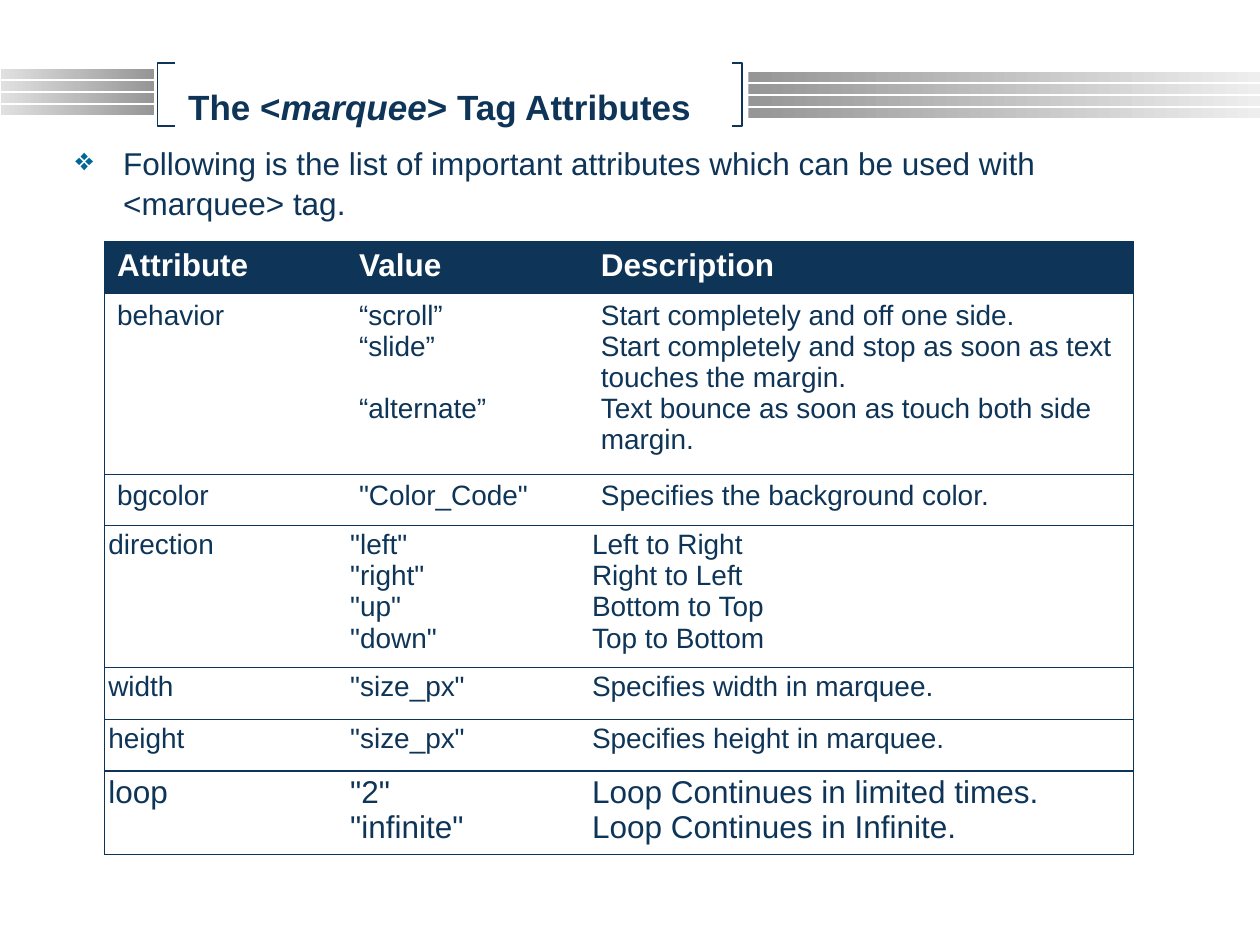
from dataclasses import dataclass

from lxml import etree
from pptx import Presentation, util as u
from pptx.dml.color import RGBColor
from pptx.enum import shapes, text
from pptx.oxml.ns import qn


@dataclass(frozen=True)
class Theme:
    font: str = "Arial"
    navy: str = "0E3558"
    border: str = "0C3458"
    bullet: str = "006699"
    white: str = "FFFFFF"
    title: float = 20
    large: float = 18
    small: float = 16
    hairline: float = 0.75


@dataclass(frozen=True)
class Stripes:
    left: float
    top: float
    width: float
    start: str
    end: str


@dataclass(frozen=True)
class Row:
    """One attribute; a newline starts a paragraph, a vertical tab a line."""
    cells: tuple[str, str, str]
    size: float
    inset: float | None = 0.03
    header: bool = False


T = Theme()
GRID_COLS, GRID_ROWS = 10, 7.5
prs = Presentation()
prs.slide_width, prs.slide_height = u.Inches(10), u.Inches(7.5)

STRIPES = (
    Stripes(0.01, 0.55, 1.21, "E0E0E0", "969696"),
    Stripes(5.94, 0.57, 4.06, "969696", "EEEEEE"),
)
STRIPE_COUNT, STRIPE_PITCH, STRIPE_HEIGHT = 4, 0.095, 0.08
# Each bracket: x of the open ends, x of the upright
BRACKETS = ((1.39, 1.25), (5.81, 5.89))
BRACKET_TOP, BRACKET_BOTTOM = 0.5, 1

TABLE_COLS = (1.92, 1.92, 4.33)
ROW_HEIGHT = 0.41
ROWS = (
    Row(("Attribute", "Value", "Description"), T.large, None, True),
    Row(("behavior", "“scroll”\n“slide”\n“alternate”",
         "Start completely and off one side.\n"
         "Start completely and stop as soon as text touches the margin.\n"
         "Text bounce as soon as touch both side margin."), T.small, None),
    Row(("bgcolor", '"Color_Code"', "Specifies the background color."), T.small, None),
    Row(("direction", '"left"\v"right"\v"up"\v"down"',
         "Left to Right\vRight to Left\vBottom to Top\vTop to Bottom"), T.small),
    Row(("width", '"size_px"', "Specifies width in marquee."), T.small),
    Row(("height", '"size_px"', "Specifies height in marquee."), T.small),
    Row(("loop", '"2"\v"infinite"',
         "Loop Continues in limited times.\vLoop Continues in Infinite."), T.large),
)
NO_STYLE = "{2D5ABB26-0587-4C30-8999-92F81FD0307C}"


def col(n: float) -> int:
    return round(prs.slide_width * n / GRID_COLS)


def row(n: float) -> int:
    return round(prs.slide_height * n / GRID_ROWS)


def box(left: float, top: float, width: float, height: float) -> tuple[int, ...]:
    return col(left), row(top), col(width), row(height)


def rgb(value: str) -> RGBColor:
    return RGBColor.from_string(value)


def set_font(r, size: float, color: str = T.navy, **extra) -> None:
    for name, value in {"name": T.font, "size": u.Pt(size), **extra}.items():
        setattr(r.font, name, value)
    r.font.color.rgb = rgb(color)


def draw_stripes(s, stripes: Stripes) -> None:
    for i in range(STRIPE_COUNT):
        top = stripes.top + i * STRIPE_PITCH
        sp = s.shapes.add_shape(shapes.MSO_SHAPE.RECTANGLE,
                                *box(stripes.left, top, stripes.width, STRIPE_HEIGHT))
        sp.shadow.inherit = False
        sp.line.fill.background()
        sp.fill.gradient()
        sp.fill.gradient_angle = 0
        for stop, color in zip(sp.fill.gradient_stops, (stripes.start, stripes.end)):
            stop.color.rgb = rgb(color)


def draw_bracket(s, tip: float, upright: float) -> None:
    top, bottom = row(BRACKET_TOP), row(BRACKET_BOTTOM)
    path = s.shapes.build_freeform(col(tip), top)
    path.add_line_segments(
        [(col(upright), top), (col(upright), bottom), (col(tip), bottom)], close=False)
    sp = path.convert_to_shape()
    sp.shadow.inherit = False
    sp.fill.background()
    sp.line.color.rgb = rgb(T.navy)
    sp.line.width = u.Pt(T.hairline)


def draw_title(s) -> None:
    tf = s.shapes.add_textbox(*box(1.31, 0.5, 4.5, 0.53)).text_frame
    for name, value in {"word_wrap": True, "margin_right": col(0.24),
                        "margin_bottom": row(0.02),
                        "vertical_anchor": text.MSO_ANCHOR.BOTTOM}.items():
        setattr(tf, name, value)
    p = tf.paragraphs[0]
    p.alignment = text.PP_ALIGN.CENTER
    for words, italic in (("The <", False), ("marquee", True), ("> Tag Attributes", False)):
        r = p.add_run()
        r.text = words
        set_font(r, T.title, bold=True, italic=italic)


def draw_intro(s) -> None:
    tf = s.shapes.add_textbox(*box(0.5, 1.08, 9, 0.75)).text_frame
    tf.word_wrap = True
    p = tf.paragraphs[0]
    p.line_spacing = 1.05
    r = p.add_run()
    r.text = ("Following is the list of important attributes "
              "which can be used with <marquee> tag.")
    set_font(r, T.large)
    props = p._p.get_or_add_pPr()
    props.set("marL", str(col(0.38)))
    props.set("indent", str(-col(0.38)))
    color = etree.SubElement(props, qn("a:buClr"))
    etree.SubElement(color, qn("a:srgbClr"), val=T.bullet)
    etree.SubElement(props, qn("a:buChar"), char="❖")


def set_borders(cell, sides: list[str]) -> None:
    """Rule the given sides; must run before the cell gets its fill."""
    props = cell._tc.get_or_add_tcPr()
    for side in sides:
        line = etree.SubElement(props, qn(f"a:ln{side}"), w=str(u.Pt(T.hairline)))
        fill = etree.SubElement(line, qn("a:solidFill"))
        etree.SubElement(fill, qn("a:srgbClr"), val=T.border)


def fill_cell(cell, words: str, spec_row: Row) -> None:
    if spec_row.inset is not None:
        for side in ("left", "right", "top", "bottom"):
            setattr(cell, f"margin_{side}", u.Inches(spec_row.inset))
    if spec_row.header:
        cell.fill.solid()
        cell.fill.fore_color.rgb = rgb(T.navy)
    else:
        cell.fill.background()
    cell.text_frame.text = words
    for p in cell.text_frame.paragraphs:
        for r in p.runs:
            set_font(r, spec_row.size, T.white if spec_row.header else T.navy,
                     bold=spec_row.header)


def draw_table(s) -> None:
    frame = s.shapes.add_table(len(ROWS), len(TABLE_COLS), *box(
        0.83, 1.92, sum(TABLE_COLS), ROW_HEIGHT * len(ROWS)))
    table = frame.table
    table.first_row = table.horz_banding = False
    table._tbl.tblPr.find(qn("a:tableStyleId")).text = NO_STYLE
    for column, width in zip(table.columns, TABLE_COLS):
        column.width = col(width)
    last = len(TABLE_COLS) - 1
    for i, item in enumerate(ROWS):
        table.rows[i].height = row(ROW_HEIGHT)
        for j, words in enumerate(item.cells):
            cell = table.cell(i, j)
            set_borders(cell, ["L"] * (j == 0) + ["R"] * (j == last) + ["T", "B"])
            fill_cell(cell, words, item)
    # "alternate" lines up with the third description, which follows a wrapped line
    table.cell(1, 1).text_frame.paragraphs[2].space_before = u.Pt(18)


def main() -> None:
    s = prs.slides.add_slide(prs.slide_layouts[6])
    for stripes in STRIPES:
        draw_stripes(s, stripes)
    for tip, upright in BRACKETS:
        draw_bracket(s, tip, upright)
    draw_title(s)
    draw_intro(s)
    draw_table(s)
    prs.save("out.pptx")


if __name__ == "__main__":
    main()
